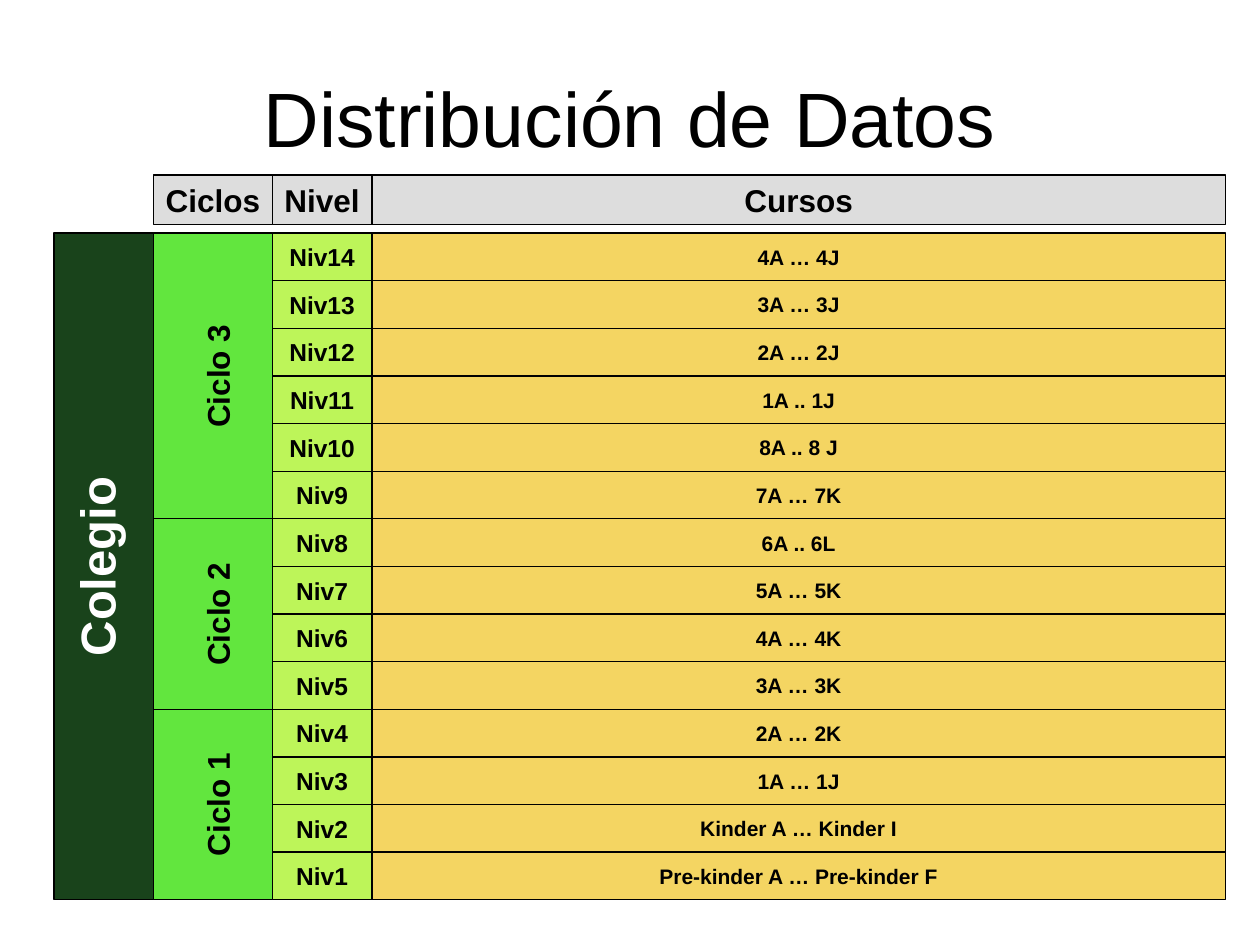
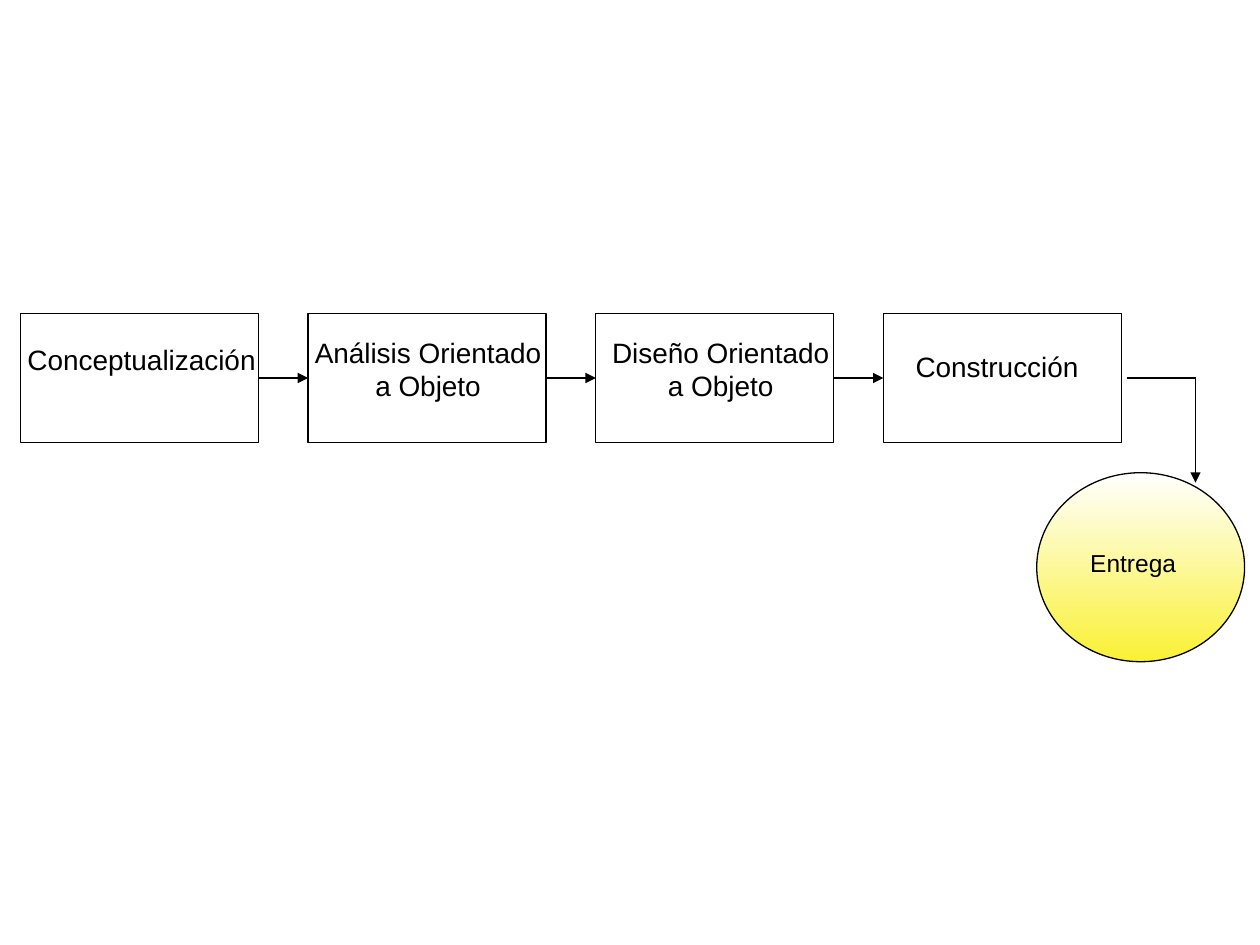
from dataclasses import dataclass
from typing import Optional

import pptx
import pptx.dml.color
import pptx.enum.shapes
import pptx.enum.text
import pptx.oxml.ns
import pptx.util
from lxml import etree

Cm, Pt = pptx.util.Cm, pptx.util.Pt
SHAPE = pptx.enum.shapes.MSO_SHAPE
ANCHOR = pptx.enum.text.MSO_ANCHOR
FONT = "Arial"
COLORS = {
    "black": "000000", "white": "FFFFFF", "header": "DDDDDD",
    "school": "19431B", "cycle": "62E63E", "level": "BDF559",
    "course": "F4D562", "delivery": "FAF134",
}


@dataclass
class Area:
    """A rectangle in centimetres."""
    left: float
    top: float
    width: float
    height: float

    def lengths(self) -> tuple:
        return Cm(self.left), Cm(self.top), Cm(self.width), Cm(self.height)


@dataclass
class Column:
    header: str
    left: float
    width: float
    fill: str
    size: int


@dataclass
class Cycle:
    name: str
    rows: int


@dataclass
class Step:
    text: str
    area: Area


# Slide 1: the grid and its contents, from top to bottom
HEADER_TOP, HEADER_HEIGHT = 3.53, 1
GRID_TOP, ROW_HEIGHT = 4.7, 0.96
SCHOOL_LEFT, SCHOOL_WIDTH = 1.09, 2.01
CYCLES_COLUMN = Column("Ciclos", 3.1, 2.39, "cycle", 18)
LEVELS_COLUMN = Column("Nivel", 5.49, 2.01, "level", 14)
COURSES_COLUMN = Column("Cursos", 7.5, 17.2, "course", 12)
CYCLES = [Cycle("Ciclo 3", 6), Cycle("Ciclo 2", 4), Cycle("Ciclo 1", 4)]
COURSES = [
    "4A … 4J", "3A … 3J", "2A … 2J", "1A .. 1J", "8A .. 8 J", "7A … 7K",
    "6A .. 6L", "5A … 5K", "4A … 4K", "3A … 3K", "2A … 2K", "1A … 1J",
    "Kinder A … Kinder I", "Pre-kinder A … Pre-kinder F",
]

# Slide 2: the process steps
STEP_LEFT, STEP_PITCH = 0.41, 5.8
STEP_TOP, STEP_WIDTH, STEP_HEIGHT = 6.32, 4.8, 2.6
STEPS = [
    Step("Conceptualización", Area(0.1, 6.78, 5.51, 0.94)),
    Step("Análisis Orientado a Objeto", Area(6.05, 6.63, 5.16, 1.63)),
    Step("Diseño Orientado a Objeto", Area(12.04, 6.63, 4.98, 1.63)),
    Step("Construcción", Area(17.7, 6.93, 4.8, 0.94)),
]


def rgb(name: str) -> pptx.dml.color.RGBColor:
    return pptx.dml.color.RGBColor.from_string(COLORS[name])


def write(tf, text: str, size: int, color: str = "black",
          bold: bool = False, wrap: bool = True) -> None:
    tf.word_wrap = wrap
    p = tf.paragraphs[0]
    p.text = text
    p.alignment = pptx.enum.text.PP_ALIGN.CENTER
    p.font.name, p.font.size, p.font.bold = FONT, Pt(size), bold
    p.font.color.rgb = rgb(color)


def add_figure(s, area: Area, fill: Optional[str] = None, outlined: bool = True,
               kind=SHAPE.RECTANGLE):
    sp = s.shapes.add_shape(kind, *area.lengths())
    sp.shadow.inherit = False
    if fill:
        sp.fill.solid()
        sp.fill.fore_color.rgb = rgb(fill)
    else:
        sp.fill.background()
    if outlined:
        sp.line.color.rgb = rgb("black")
        sp.line.width = Pt(0.75)
    else:
        sp.line.fill.background()
    return sp


def add_cell(s, area: Area, fill: str, text: str, size: int) -> None:
    sp = add_figure(s, area, fill)
    sp.text_frame.vertical_anchor = ANCHOR.MIDDLE
    write(sp.text_frame, text, size, bold=True, wrap=False)


def add_band(s, band: Area, fill: str, text: str, size: int, color: str,
             thickness: float, shift: float) -> None:
    """Draw a tall band with a label that reads upwards."""
    add_figure(s, band, fill)
    length = band.height - 0.5
    label = Area(band.left + (band.width - length) / 2 + shift,
                 band.top + (band.height - thickness) / 2, length, thickness)
    sp = add_figure(s, label, fill, outlined=False)
    sp.rotation = 270
    sp.text_frame.vertical_anchor = ANCHOR.TOP
    write(sp.text_frame, text, size, color, bold=True)


def add_text(s, area: Area, text: str, size: int) -> None:
    write(s.shapes.add_textbox(*area.lengths()).text_frame, text, size)


def add_line(s, x1: float, y1: float, x2: float, y2: float, arrow: bool = True):
    cx = s.shapes.add_connector(pptx.enum.shapes.MSO_CONNECTOR.STRAIGHT,
                                Cm(x1), Cm(y1), Cm(x2), Cm(y2))
    cx.line.color.rgb = rgb("black")
    cx.line.width = Pt(0.75)
    qn = pptx.oxml.ns.qn
    if arrow:
        etree.SubElement(cx.line._get_or_add_ln(), qn("a:tailEnd"), type="triangle")
    etree.SubElement(cx._element.spPr, qn("a:effectLst"))
    return cx


def build_distribution(prs) -> None:
    s = prs.slides.add_slide(prs.slide_layouts[5])
    title = s.shapes.title
    title.left, title.top, title.width, title.height = Area(1.27, 0.76, 22.86, 3.18).lengths()
    title.text_frame.vertical_anchor = ANCHOR.MIDDLE
    write(title.text_frame, "Distribución de Datos", 44)

    # School and cycle bands
    school = Area(SCHOOL_LEFT, GRID_TOP, SCHOOL_WIDTH, len(COURSES) * ROW_HEIGHT)
    add_band(s, school, "school", "Colegio", 28, "white", 1.45, -0.15)
    col, top = CYCLES_COLUMN, GRID_TOP
    for cycle in CYCLES:
        band = Area(col.left, top, col.width, cycle.rows * ROW_HEIGHT)
        add_band(s, band, col.fill, cycle.name, col.size, "black", 1.02, 0.09)
        top += band.height

    # Levels and courses
    levels = [f"Niv{n}" for n in range(len(COURSES), 0, -1)]
    for col, texts in ((LEVELS_COLUMN, levels), (COURSES_COLUMN, COURSES)):
        for row, text in enumerate(texts):
            area = Area(col.left, GRID_TOP + row * ROW_HEIGHT, col.width, ROW_HEIGHT)
            add_cell(s, area, col.fill, text, col.size)

    # Column headers
    for col in (CYCLES_COLUMN, LEVELS_COLUMN, COURSES_COLUMN):
        add_cell(s, Area(col.left, HEADER_TOP, col.width, HEADER_HEIGHT),
                 "header", col.header, 18)


def build_process(prs) -> None:
    s = prs.slides.add_slide(prs.slide_layouts[6])

    # Steps
    boxes = []
    for i, step in enumerate(STEPS):
        add_text(s, step.area, step.text, 16)
        boxes.append(add_figure(s, Area(STEP_LEFT + i * STEP_PITCH, STEP_TOP,
                                        STEP_WIDTH, STEP_HEIGHT)))

    # Arrows between steps
    middle = STEP_TOP + STEP_HEIGHT / 2
    for i, (box, following) in enumerate(zip(boxes, boxes[1:])):
        right = STEP_LEFT + i * STEP_PITCH + STEP_WIDTH
        cx = add_line(s, right, middle, right + STEP_PITCH - STEP_WIDTH, middle)
        cx.begin_connect(box, 3)
        cx.end_connect(following, 1)

    # Delivery
    circle = add_figure(s, Area(20.9, 9.53, 4.19, 3.81), kind=SHAPE.OVAL)
    circle.fill.gradient()
    circle.fill.gradient_angle = 270
    for stop, position, color in zip(circle.fill.gradient_stops, (0, 1), ("white", "delivery")):
        stop.position = position
        stop.color.rgb = rgb(color)
    corner = 24.1
    add_line(s, 22.71, middle, corner, middle, arrow=False)
    add_line(s, corner, middle, corner, 9.73)
    add_text(s, Area(20.29, 10.92, 5.11, 0.86), "Entrega", 14)


def main() -> None:
    prs = pptx.Presentation()
    prs.slide_width, prs.slide_height = Cm(25.4), Cm(19.05)
    build_distribution(prs)
    build_process(prs)
    prs.save("out.pptx")


if __name__ == "__main__":
    main()
